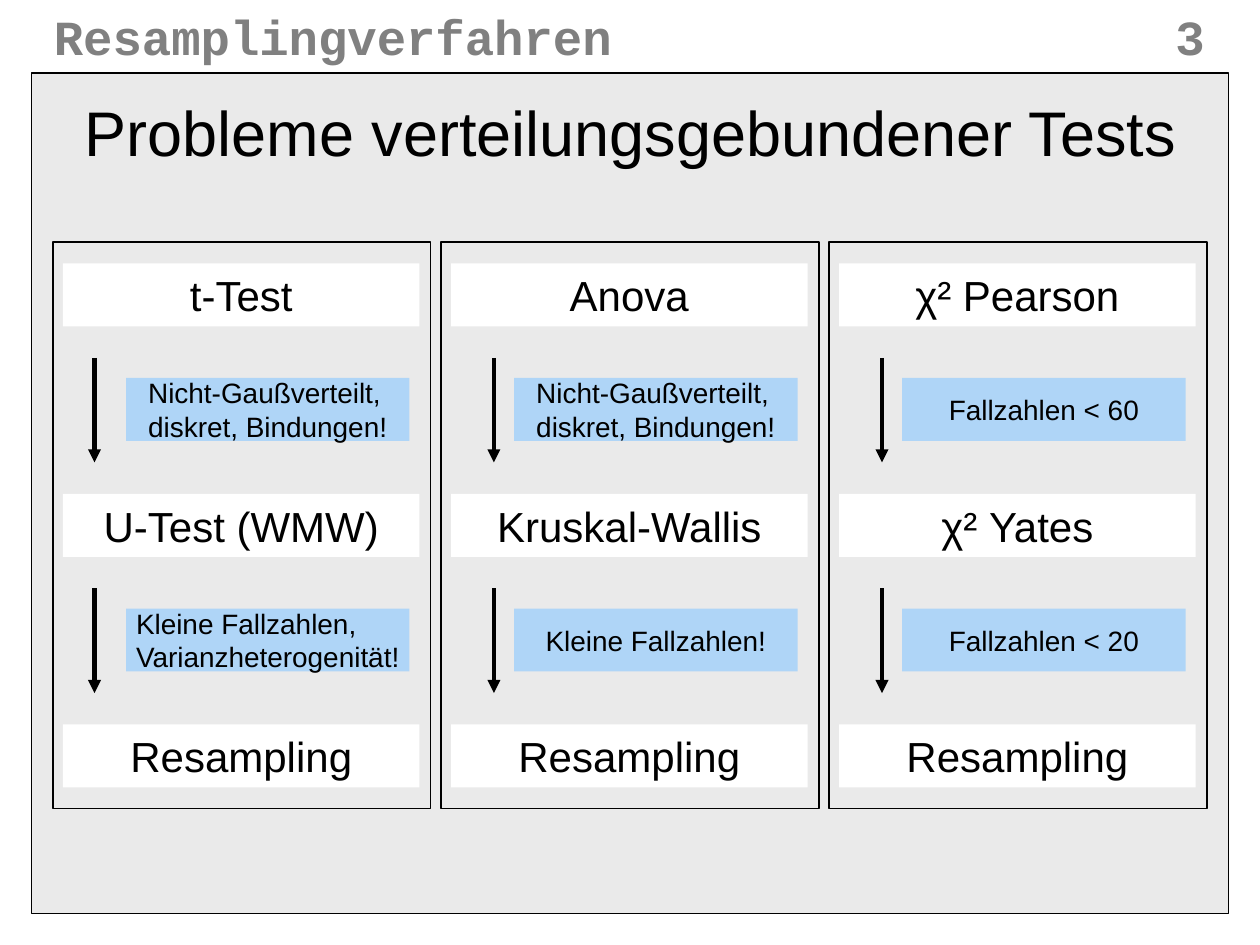
from dataclasses import dataclass

from lxml import etree
from pptx import Presentation
from pptx.dml.color import RGBColor
from pptx.enum.shapes import MSO_CONNECTOR, MSO_SHAPE
from pptx.enum.text import MSO_ANCHOR, PP_ALIGN
from pptx.oxml.ns import qn
from pptx.util import Inches, Pt

RECTANGLE = MSO_SHAPE.RECTANGLE
STRAIGHT = MSO_CONNECTOR.STRAIGHT
TOP, MIDDLE = MSO_ANCHOR.TOP, MSO_ANCHOR.MIDDLE
LEFT, CENTER, RIGHT = PP_ALIGN.LEFT, PP_ALIGN.CENTER, PP_ALIGN.RIGHT


@dataclass(frozen=True)
class Theme:
    ink: str = "000000"
    header: str = "808080"
    panel: str = "EAEAEA"
    card: str = "FFFFFF"
    note: str = "AFD5F7"
    body_font: str = "Arial"
    header_font: str = "Courier New"
    title_size: float = 36
    header_size: float = 28
    card_size: float = 24
    note_size: float = 16
    border: float = 0.74
    arrow: float = 2.49


THEME = Theme()


def color(value):
    return RGBColor.from_string(value)


def write(shape, text, size, font_name=THEME.body_font, ink=THEME.ink,
          bold=False, align=LEFT, anchor=MIDDLE):
    frame = shape.text_frame
    frame.word_wrap = True
    frame.vertical_anchor = anchor
    frame.text = text
    paragraph = frame.paragraphs[0]
    paragraph.alignment = align
    font = paragraph.runs[0].font
    font.name = font_name
    font.size = Pt(size)
    font.bold = bold
    font.color.rgb = color(ink)


def add_text(slide, box, text, size, **style):
    shape = slide.shapes.add_textbox(*map(Inches, box))
    write(shape, text, size, **style)


def add_rectangle(slide, box, fill=None, outlined=False):
    shape = slide.shapes.add_shape(RECTANGLE, *map(Inches, box))
    shape.shadow.inherit = False
    if fill:
        shape.fill.solid()
        shape.fill.fore_color.rgb = color(fill)
    else:
        shape.fill.background()
    if outlined:
        shape.line.color.rgb = color(THEME.ink)
        shape.line.width = Pt(THEME.border)
    else:
        shape.line.fill.background()
    return shape


def add_label(slide, box, fill, text, size):
    shape = add_rectangle(slide, box, fill)
    write(shape, text, size)
    frame = shape.text_frame
    frame.margin_left = frame.margin_right = 0
    frame.margin_top = frame.margin_bottom = 0
    shape._element.txBody.find(qn("a:bodyPr")).set("anchorCtr", "1")


def add_down_arrow(slide, x, top, length):
    arrow = slide.shapes.add_connector(
        STRAIGHT, Inches(x), Inches(top), Inches(x), Inches(top + length))
    arrow.line.color.rgb = color(THEME.ink)
    arrow.line.width = Pt(THEME.arrow)
    line = arrow.line._get_or_add_ln()
    etree.SubElement(line, qn("a:tailEnd"), type="triangle")
    etree.SubElement(arrow._element.spPr, qn("a:effectLst"))


def add_header(slide, box, topic, number):
    left, top, width, height = box
    style = dict(font_name=THEME.header_font, ink=THEME.header, bold=True, anchor=TOP)
    number_width = 1.58
    add_text(slide, (left, top, 6.33, height), topic, THEME.header_size, **style)
    add_text(slide, (left + width - number_width, top, number_width, height),
             number, THEME.header_size, align=RIGHT, **style)


def add_test_column(slide, box, tests, problems, arrow_offset):
    left, top, width, height = box
    row_step = 1.83
    add_rectangle(slide, box, outlined=True)
    for row, test in enumerate(tests):
        card = (left + 0.08, top + 0.17 + row * row_step, width - 0.17, 0.5)
        add_label(slide, card, THEME.card, test, THEME.card_size)
    for row, problem in enumerate(problems):
        row_top = top + row * row_step
        add_down_arrow(slide, left + arrow_offset, row_top + 0.92, 0.83)
        note = (left + 0.58, row_top + 1.08, width - 0.75, 0.5)
        add_label(slide, note, THEME.note, problem, THEME.note_size)


def add_columns(slide, box, columns):
    left, top, width, height = box
    column_width = 3
    step = (width - column_width) / (len(columns) - 1)
    for index, column in enumerate(columns):
        add_test_column(
            slide, (left + index * step, top, column_width, height), *column)


def build_slide(presentation):
    slide = presentation.slides.add_slide(presentation.slide_layouts[6])
    add_rectangle(slide, (0.25, 0.58, 9.5, 6.67), THEME.panel, outlined=True)
    add_header(slide, (0.33, 0, 9.33, 0.57), "Resamplingverfahren", "3")
    add_text(slide, (0.42, 0.67, 9.17, 0.75),
             "Probleme verteilungsgebundener Tests", THEME.title_size, align=CENTER)
    skewed = "Nicht-Gaußverteilt, diskret, Bindungen!"
    columns = [
        (("t-Test", "U-Test (WMW)", "Resampling"),
         (skewed, "Kleine Fallzahlen, Varianzheterogenität!"), 0.33),
        (("Anova", "Kruskal-Wallis", "Resampling"),
         (skewed, "Kleine Fallzahlen!"), 0.42),
        (("χ² Pearson", "χ² Yates", "Resampling"),
         ("Fallzahlen < 60", "Fallzahlen < 20"), 0.42),
    ]
    add_columns(slide, (0.42, 1.92, 9.16, 4.5), columns)


presentation = Presentation()
presentation.slide_width = Inches(10)
presentation.slide_height = Inches(7.5)
build_slide(presentation)
presentation.save("out.pptx")
